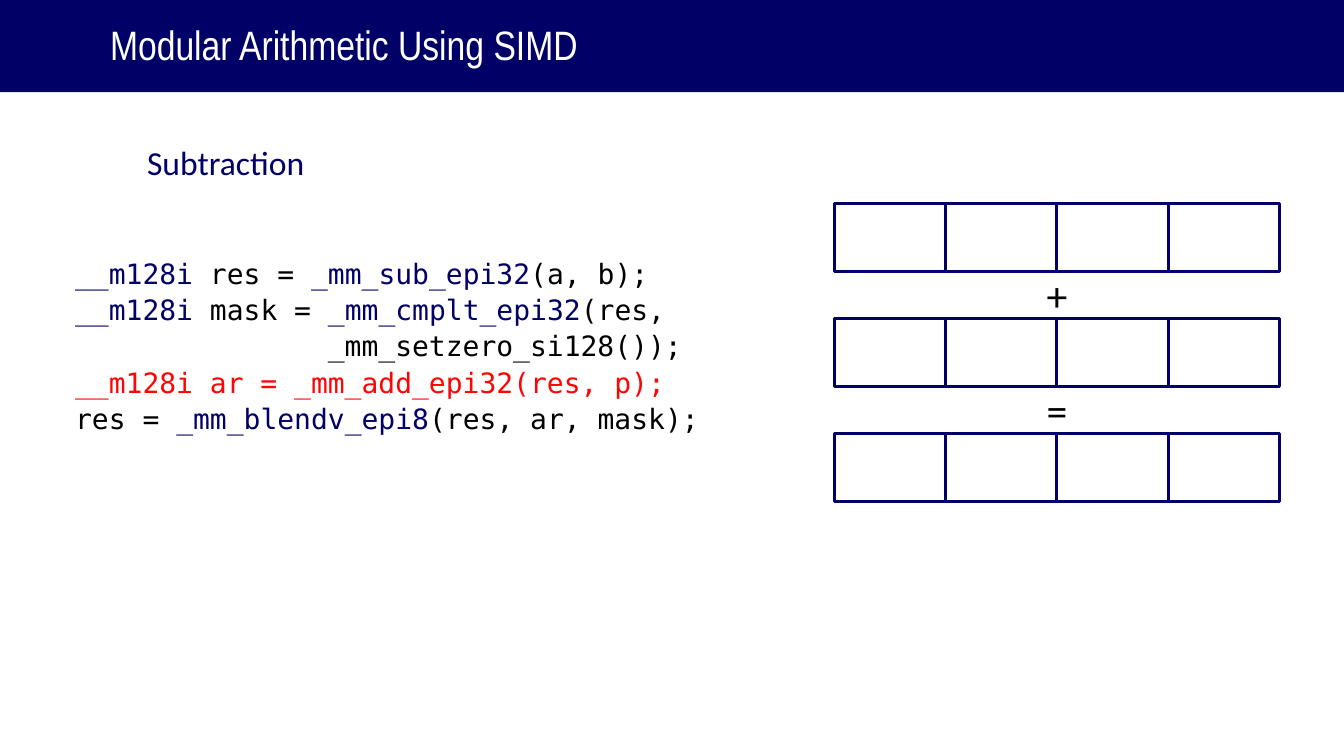
from dataclasses import dataclass

from pptx import Presentation
from pptx import util as u
from pptx.dml.color import RGBColor
from pptx.enum import shapes, text


@dataclass(frozen=True)
class Theme:
    navy: RGBColor = RGBColor(0x00, 0x00, 0x66)
    black: RGBColor = RGBColor(0x00, 0x00, 0x00)
    red: RGBColor = RGBColor(0xFF, 0x04, 0x04)
    white: RGBColor = RGBColor(0xFF, 0xFF, 0xFF)
    title: tuple = ("Arial Narrow", 44, 47.5)
    heading: tuple = ("Calibri", 36, 43.2)
    code: tuple = ("DejaVu Sans Mono", 30, 39)
    operator: tuple = ("Calibri", 44.7, 58.1)


THEME = Theme()

TITLE = "Modular Arithmetic Using SIMD"
HEADING = "Subtraction"
CODE = [
    [("__m128i", THEME.navy), (" res = ", THEME.black),
     ("_mm_sub_epi32", THEME.navy), ("(a, b);", THEME.black)],
    [("__m128i ", THEME.navy), ("mask = ", THEME.black),
     ("_mm_cmplt_epi32", THEME.navy), ("(res,", THEME.black)],
    [("               _mm_setzero_si128());", THEME.black)],
    [("__m128i ar = _mm_add_epi32(res, p);", THEME.red)],
    [("res = ", THEME.black), ("_mm_blendv_epi8", THEME.navy),
     ("(res, ar, mask);", THEME.black)],
]
OPERATORS = ["+", "="]

SLIDE_WIDTH, SLIDE_HEIGHT = 50.8, 28.58
BANNER_HEIGHT = 3.48
LANES = 4
LANE_WIDTH, LANE_HEIGHT = 4.21, 2.58
REGISTER_LEFT, REGISTER_TOP, REGISTER_PITCH = 31.53, 7.7, 4.34
OPERATOR_WIDTH, OPERATOR_HEIGHT, OPERATOR_OFFSET = 1.02, 1.98, 2.35


def add_box(slide, left, top, width, height, fill=None, line=None):
    shape = slide.shapes.add_shape(
        shapes.MSO_SHAPE.RECTANGLE, u.Cm(left), u.Cm(top), u.Cm(width), u.Cm(height))
    shape.shadow.inherit = False
    if fill is None:
        shape.fill.background()
    else:
        shape.fill.solid()
        shape.fill.fore_color.rgb = fill
    if line is None:
        shape.line.fill.background()
    else:
        shape.line.color.rgb = line
        shape.line.width = u.Pt(3)


def add_text(slide, left, top, width, height, lines, style, align=text.PP_ALIGN.LEFT):
    font_name, size, spacing = style
    frame = slide.shapes.add_textbox(
        u.Cm(left), u.Cm(top), u.Cm(width), u.Cm(height)).text_frame
    frame.word_wrap = True
    frame.margin_left = frame.margin_right = frame.margin_top = frame.margin_bottom = 0
    for index, line in enumerate(lines):
        paragraph = frame.add_paragraph() if index else frame.paragraphs[0]
        paragraph.alignment = align
        paragraph.line_spacing = u.Pt(spacing)
        paragraph.font.name = font_name
        paragraph.font.size = u.Pt(size)
        for words, color in line:
            run = paragraph.add_run()
            run.text = words
            run.font.name = font_name
            run.font.size = u.Pt(size)
            run.font.color.rgb = color


def add_registers(slide):
    center = REGISTER_LEFT + LANES * LANE_WIDTH / 2
    for row in range(len(OPERATORS) + 1):
        top = REGISTER_TOP + row * REGISTER_PITCH
        for lane in range(LANES):
            add_box(slide, REGISTER_LEFT + lane * LANE_WIDTH, top,
                    LANE_WIDTH, LANE_HEIGHT, line=THEME.navy)
    for row, operator in enumerate(OPERATORS):
        top = REGISTER_TOP + row * REGISTER_PITCH + OPERATOR_OFFSET
        add_text(slide, center - OPERATOR_WIDTH / 2, top, OPERATOR_WIDTH, OPERATOR_HEIGHT,
                 [[(operator, THEME.black)]], THEME.operator, text.PP_ALIGN.CENTER)


def main():
    presentation = Presentation()
    presentation.slide_width = u.Cm(SLIDE_WIDTH)
    presentation.slide_height = u.Cm(SLIDE_HEIGHT)
    slide = presentation.slides.add_slide(presentation.slide_layouts[6])
    add_registers(slide)
    add_text(slide, 2.84, 9.58, 28.52, 6.88, CODE, THEME.code)
    add_text(slide, 5.56, 5.38, 10.41, 1.5, [[(HEADING, THEME.navy)]], THEME.heading)
    add_box(slide, 0, 0, SLIDE_WIDTH, BANNER_HEIGHT, fill=THEME.navy)
    add_text(slide, 4.16, 0.94, 25.7, 1.73, [[(TITLE, THEME.white)]], THEME.title)
    presentation.save("out.pptx")


if __name__ == "__main__":
    main()
